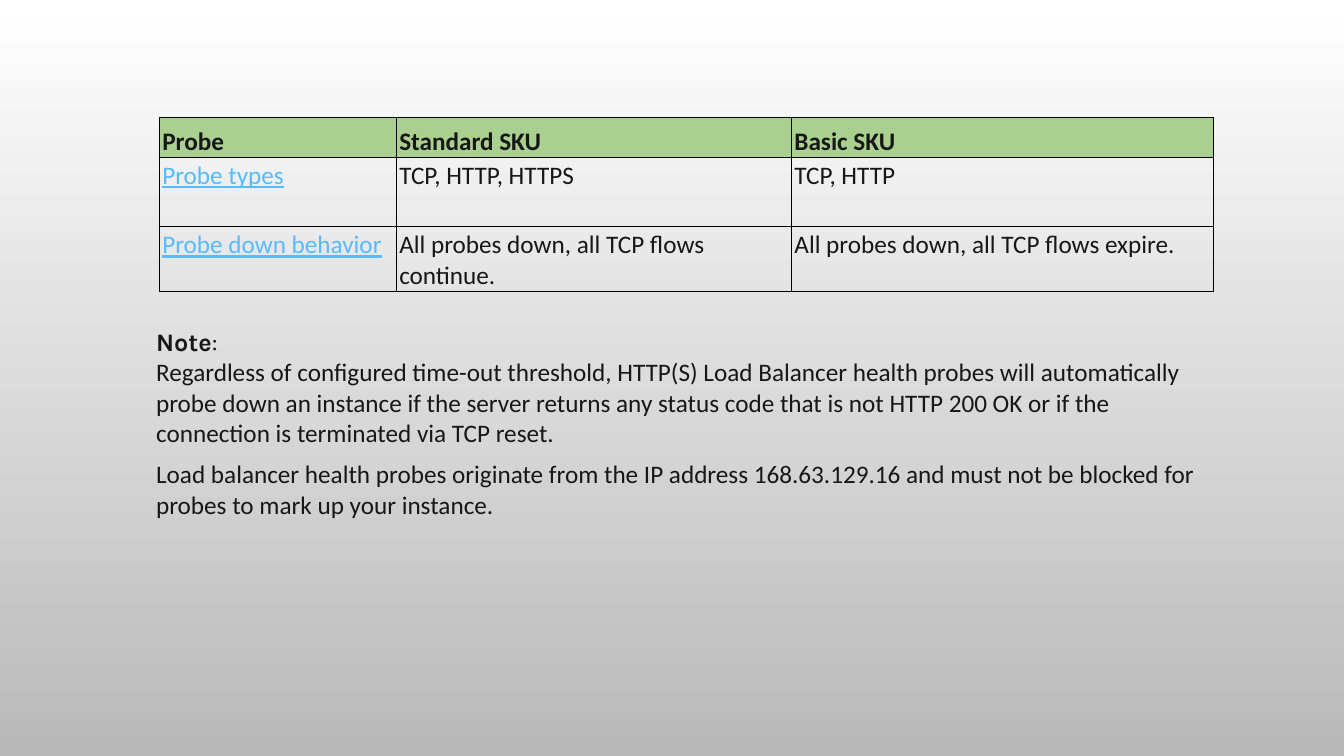
"""Build a slide that compares load balancer health probes by SKU."""
from dataclasses import dataclass

from lxml import etree
from pptx import Presentation
from pptx.dml.color import RGBColor
from pptx.enum.text import MSO_ANCHOR, MSO_AUTO_SIZE
from pptx.oxml.ns import qn
from pptx.util import Inches, Pt

TOP, BOTTOM = MSO_ANCHOR.TOP, MSO_ANCHOR.BOTTOM
GROW = MSO_AUTO_SIZE.SHAPE_TO_FIT_TEXT
INK = RGBColor(0x17, 0x17, 0x17)
SKY = RGBColor(0x56, 0xBC, 0xFE)
GREEN = RGBColor(0xA9, 0xD0, 0x8E)
BLACK = RGBColor(0, 0, 0)
WHITE = RGBColor(0xFF, 0xFF, 0xFF)
GREY = RGBColor(0xB9, 0xB9, 0xB9)


@dataclass(frozen=True)
class Span:
    """Text with one look."""
    text: str
    color: RGBColor = INK
    bold: bool = False
    line: bool = False
    font: str = "Calibri"


@dataclass(frozen=True)
class Note:
    """A text box with its paragraphs."""
    top: float
    height: float
    paras: tuple[tuple[Span, ...], ...]


COLS = (2.35, 3.92, 4.18)
ROWS = (0.4, 0.69, 0.63)
CELLS = (
    ("Probe", "Standard SKU", "Basic SKU"),
    ("Probe types", "TCP, HTTP, HTTPS", "TCP, HTTP"),
    ("Probe down behavior", "All probes down, all TCP flows continue.",
     "All probes down, all TCP flows expire."),
)
NOTES = (
    Note(3.19, 1.31, (
        (Span("Note", bold=True, font="Karla"), Span(":", font="Karla")),
        (Span("Regardless of configured time-out threshold, HTTP(S) Load "
              "Balancer health probes will automatically probe down an "
              "instance if the server returns any status code that is not "
              "HTTP 200 OK or if the connection is terminated via TCP "
              "reset."),),
    )),
    Note(4.5, 0.71, (
        (Span("Load balancer health probes originate from the IP address "
              "168.63.129.16 and must not be blocked for probes to mark up "
              "your instance."),),
    )),
)


def add_span(para, span: Span) -> None:
    """Add one run to a paragraph."""
    run = para.add_run()
    run.text = span.text
    font = run.font
    font.name, font.size = span.font, Pt(18)
    font.bold, font.underline = span.bold, span.line
    font.color.rgb = span.color


def add_edges(cell) -> None:
    """Put a thin black line on each side of a cell."""
    props = cell._tc.get_or_add_tcPr()
    for spot, side in enumerate("LRTB"):
        edge = etree.Element(qn(f"a:ln{side}"), w=str(Pt(0.5)))
        fill = etree.SubElement(edge, qn("a:solidFill"))
        etree.SubElement(fill, qn("a:srgbClr"), val=str(BLACK))
        props.insert(spot, edge)


def fill_cell(cell, text: str, row: int, col: int) -> None:
    """Write and format one table cell."""
    head = row == 0
    link = col == 0 and not head
    cell.margin_left = cell.margin_right = cell.margin_top = Inches(0.03)
    cell.margin_bottom = 0
    cell.vertical_anchor = BOTTOM if head else TOP
    if head:
        cell.fill.solid()
        cell.fill.fore_color.rgb = GREEN
    else:
        cell.fill.background()
    add_edges(cell)
    add_span(cell.text_frame.paragraphs[0],
             Span(text, SKY if link else INK, head, link))


def add_grid(slide) -> None:
    """Add the table of probes."""
    table = slide.shapes.add_table(
        len(ROWS), len(COLS), Inches(1.58), Inches(1.16),
        Inches(sum(COLS)), Inches(sum(ROWS))).table
    table.first_row = table.horz_banding = False
    for col, width in zip(table.columns, COLS):
        col.width = Inches(width)
    for row, (size, texts) in enumerate(zip(ROWS, CELLS)):
        table.rows[row].height = Inches(size)
        for col, text in enumerate(texts):
            fill_cell(table.cell(row, col), text, row, col)


def add_note(slide, note: Note) -> None:
    """Add one text box below the table."""
    frame = slide.shapes.add_textbox(
        Inches(1.45), Inches(note.top), Inches(10.58),
        Inches(note.height)).text_frame
    frame.word_wrap = True
    frame.auto_size = GROW
    for spot, spans in enumerate(note.paras):
        para = frame.add_paragraph() if spot else frame.paragraphs[0]
        for span in spans:
            add_span(para, span)


def paint_back(slide) -> None:
    """Fade the background from white down to grey."""
    fill = slide.background.fill
    fill.gradient()
    fill.gradient_angle = 270
    for stop, color, place in zip(fill.gradient_stops, (WHITE, GREY), (0, 1)):
        stop.color.rgb = color
        stop.position = place


def main() -> None:
    """Build and save the deck."""
    deck = Presentation()
    deck.slide_width, deck.slide_height = Inches(13.33), Inches(7.5)
    slide = deck.slides.add_slide(deck.slide_layouts[6])
    paint_back(slide)
    add_grid(slide)
    for note in NOTES:
        add_note(slide, note)
    deck.save("out.pptx")


if __name__ == "__main__":
    main()
